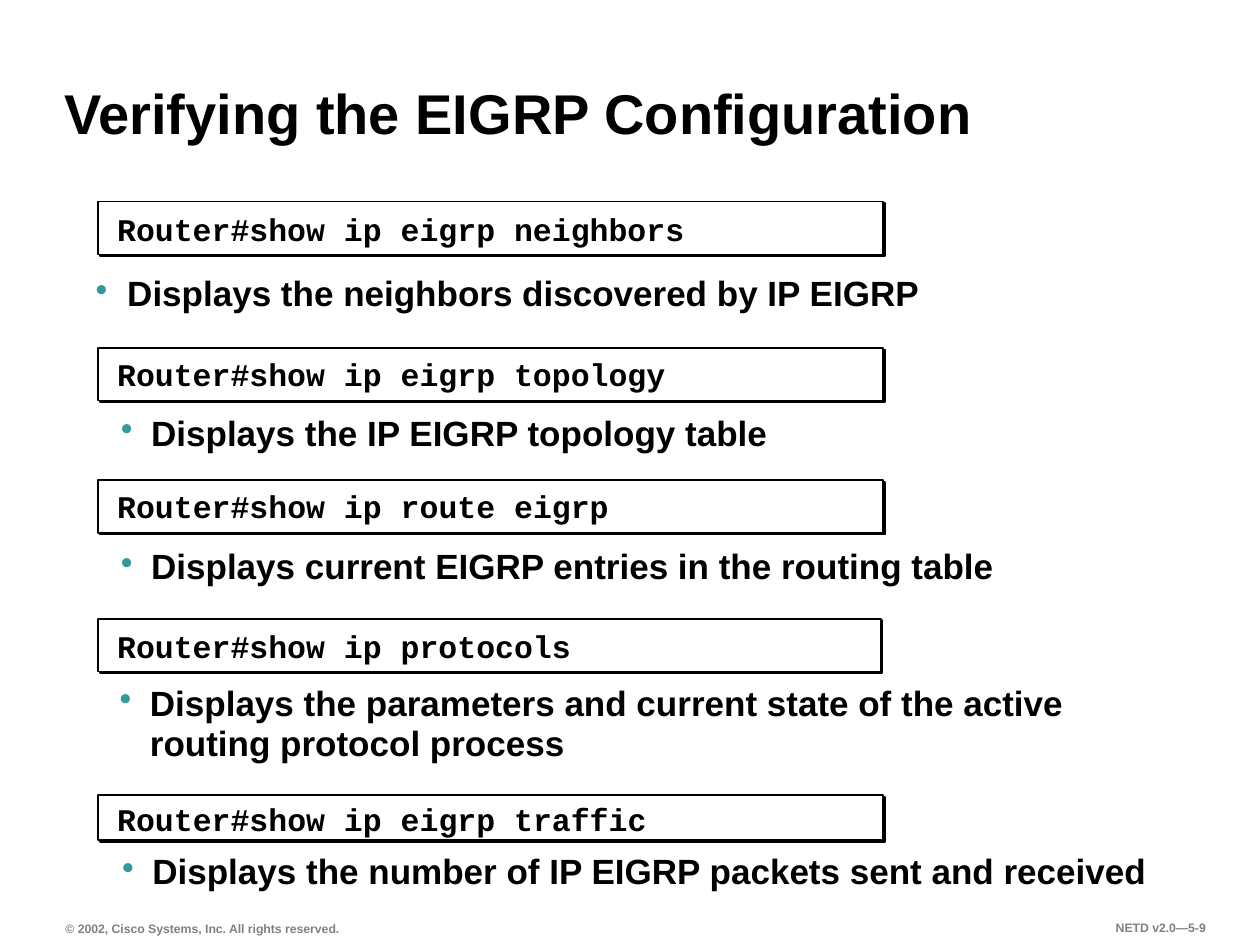
from lxml import etree
from pptx import Presentation
from pptx.dml.color import RGBColor
from pptx.enum import shapes, text
from pptx.oxml.ns import qn
from pptx.util import Inches, Pt

BLACK = RGBColor(0x00, 0x00, 0x00)
WHITE = RGBColor(0xFF, 0xFF, 0xFF)
GRAY = RGBColor(0x80, 0x80, 0x80)
TEAL = RGBColor(0x33, 0x99, 0x99)

BOX_LEFT, COMMAND_LEFT = 0.78, 0.86

COMMANDS = [
    ("Router#show ip eigrp neighbors", (1.6, 6.23, 0.42), (1.57, 3.14)),
    ("Router#show ip eigrp topology", (2.76, 6.23, 0.42), (2.72, 2.84)),
    ("Router#show ip route eigrp", (3.81, 6.23, 0.42), (3.77, 2.55)),
    ("Router#show ip protocols", (4.91, 6.21, 0.42), (4.88, 2.17)),
    ("Router#show ip eigrp traffic", (6.31, 6.23, 0.36), (6.25, 2.69)),
]


def add_text(s, content, at, size=20, font="Arial", color=BLACK, inset=(0.09, 0.04),
             anchor=text.MSO_ANCHOR.TOP, align=text.PP_ALIGN.LEFT, spacing=None,
             wrap=False, grow=False, bullet=None):
    tf = s.shapes.add_textbox(*map(Inches, at)).text_frame
    tf.word_wrap = wrap
    tf.auto_size = text.MSO_AUTO_SIZE.SHAPE_TO_FIT_TEXT if grow else text.MSO_AUTO_SIZE.NONE
    tf.vertical_anchor = anchor
    tf.margin_left = tf.margin_right = Inches(inset[0])
    tf.margin_top = tf.margin_bottom = Inches(inset[1])
    p = tf.paragraphs[0]
    p.text = content
    p.alignment = align
    if spacing:
        p.line_spacing = spacing
    if bullet:
        set_bullet(p, *bullet)
    for r in p.runs:
        r.font.name = font
        r.font.size = Pt(size)
        r.font.bold = True
        r.font.color.rgb = color


def set_bullet(p, margin, indent):
    pPr = p._p.get_or_add_pPr()
    pPr.set("marL", str(Inches(margin)))
    pPr.set("indent", str(Inches(indent)))
    clr = etree.SubElement(pPr, qn("a:buClr"))
    etree.SubElement(clr, qn("a:srgbClr"), val=str(TEAL))
    etree.SubElement(pPr, qn("a:buChar"), char="•")


def add_command_box(s, top, width, height):
    sp = s.shapes.add_shape(shapes.MSO_SHAPE.RECTANGLE, Inches(BOX_LEFT), Inches(top),
                            Inches(width), Inches(height))
    sp.fill.solid()
    sp.fill.fore_color.rgb = WHITE
    sp.line.color.rgb = BLACK
    sp.line.width = Pt(1)
    sp.shadow.inherit = False
    effects = sp._element.spPr.find(qn("a:effectLst"))
    shadow = etree.SubElement(effects, qn("a:outerShdw"), dist=str(Pt(1.4)),
                              dir="2700000", algn="ctr", rotWithShape="0")
    etree.SubElement(shadow, qn("a:srgbClr"), val=str(BLACK))


def add_command(s, command, box, label):
    add_command_box(s, *box)
    top, width = label
    add_text(s, command, (COMMAND_LEFT, top, width, 0.45), size=18, font="Courier New",
             inset=(0.07, 0.1), spacing=Pt(21.4))


def add_description(s, content, at, **fmt):
    options = dict(inset=(0.08, 0.04), spacing=0.95, grow=True, bullet=(0.37, -0.24))
    add_text(s, content, at, **{**options, **fmt})


def main():
    prs = Presentation()
    prs.slide_width, prs.slide_height = Inches(10), Inches(7.5)
    s = prs.slides.add_slide(prs.slide_layouts[6])

    add_text(s, "© 2002, Cisco Systems, Inc. All rights reserved.", (0.43, 7.26, 2.36, 0.21),
             size=7, color=GRAY, anchor=text.MSO_ANCHOR.BOTTOM, grow=True)
    add_text(s, "NETD v2.0—5-9", (8.38, 7.26, 1.28, 0.21), size=7, color=GRAY,
             align=text.PP_ALIGN.RIGHT, grow=True)
    add_text(s, "Verifying the EIGRP Configuration", (0.42, 0.28, 8.34, 0.92), size=32,
             anchor=text.MSO_ANCHOR.BOTTOM, spacing=0.9, wrap=True)

    for command, box, label in COMMANDS:
        add_command(s, command, box, label)

    add_description(s, "Displays the neighbors discovered by IP EIGRP", (0.54, 2.11, 7.14, 0.46),
                    inset=(0.09, 0.04), anchor=text.MSO_ANCHOR.MIDDLE, wrap=True, grow=False,
                    bullet=(0.38, -0.25))
    add_description(s, "Displays the IP EIGRP topology table", (0.75, 3.25, 5.43, 0.4))
    add_description(s, "Displays current EIGRP entries in the routing table",
                    (0.75, 4.31, 7.23, 0.4))
    add_description(s, "Displays the parameters and current state of the active\v"
                    "routing protocol process", (0.74, 5.39, 7.86, 0.71))
    add_description(s, "Displays the number of IP EIGRP packets sent and received",
                    (0.76, 6.73, 8.64, 0.73), wrap=True)

    prs.save("out.pptx")


if __name__ == "__main__":
    main()
